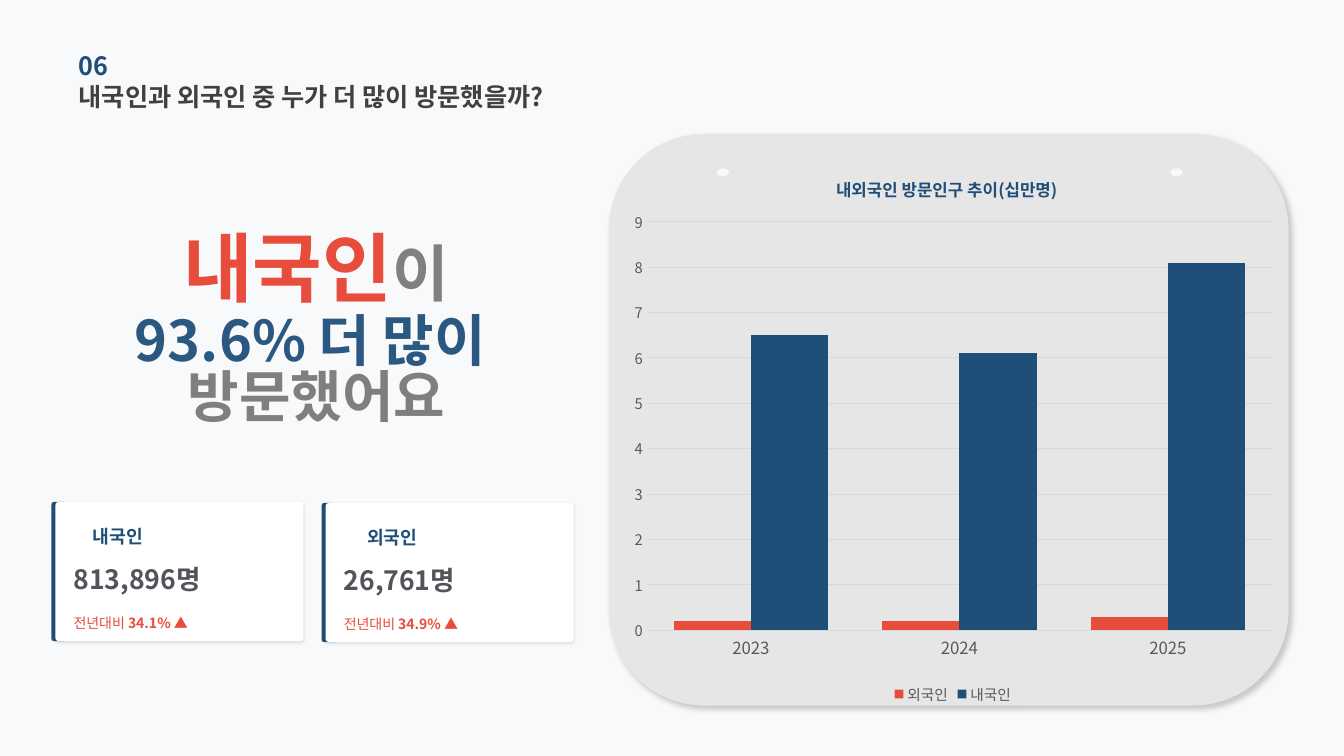
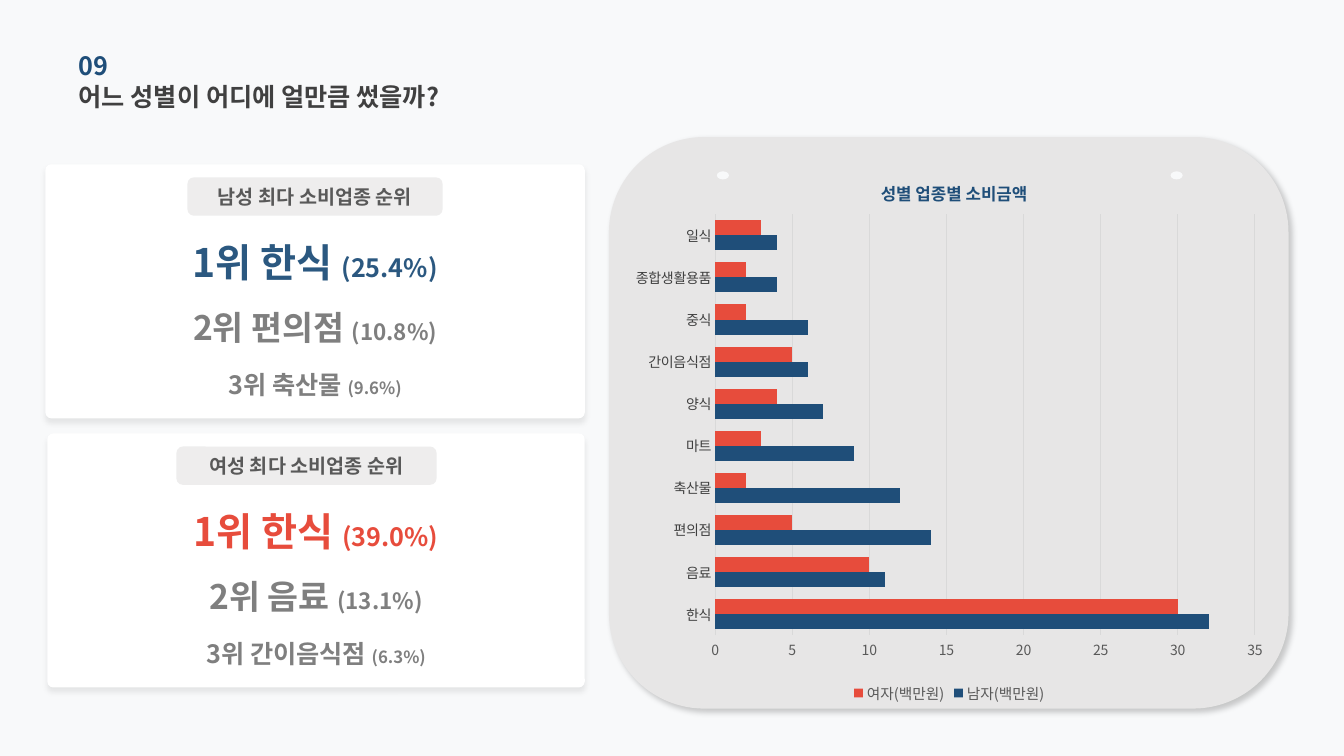
import pptx
import pptx.util
import pptx.oxml
import pptx.oxml.ns
import pptx.chart.data
import pptx.dml.color
import pptx.enum.chart
import pptx.enum.shapes
import pptx.enum.text
from lxml import etree

Inches = pptx.util.Inches
Pt = pptx.util.Pt
qn = pptx.oxml.ns.qn
CHART = pptx.enum.chart.XL_CHART_TYPE
SHAPE = pptx.enum.shapes.MSO_SHAPE
ALIGN = pptx.enum.text.PP_ALIGN

FONT = "Noto Sans CJK KR"
COLORS = {
    "background": "F8F9FA", "navy": "1F4E79", "blue": "2B5880",
    "red": "E74C3C", "title": "404040", "axis": "595959",
    "gray": "7F7F7F", "particle": "808080", "value": "51545A",
    "panel": "E7E6E6", "card": "FFFFFF", "badge": "D0CECE",
    "grid": "D9D9D9", "shadow": "000000",
}
PANEL_SHADOW = (20, 4, 3, 45)
STAT_SHADOW = (10, 2, 1, 90)
RANKING_SHADOW = (8, 4, 3, 90)
CARD_CORNER = 0.023


def rgb(name):
    return pptx.dml.color.RGBColor.from_string(COLORS[name])


def place(parent, index, **fractions):
    for old in parent.findall(qn("c:layout")):
        parent.remove(old)
    layout = etree.Element(qn("c:layout"))
    manual = etree.SubElement(layout, qn("c:manualLayout"))
    for tag, value in fractions.items():
        etree.SubElement(manual, qn("c:" + tag)).set("val", str(value))
    parent.insert(index, layout)


def add_east_asian_font(root):
    for latin in list(root.iter(qn("a:latin"))):
        east_asian = etree.Element(qn("a:ea"))
        east_asian.set("typeface", FONT)
        latin.addnext(east_asian)


class Report:
    def __init__(self):
        self.deck = pptx.Presentation()
        self.deck.slide_width = Inches(13.33)
        self.deck.slide_height = Inches(7.5)
        fill = self.deck.slide_master.background.fill
        fill.solid()
        fill.fore_color.rgb = rgb("background")
        self.page = None
        self.shapes = None

    def start_page(self, number, title):
        self.page = self.deck.slides.add_slide(self.deck.slide_layouts[5])
        self.shapes = self.page.shapes
        box = self.shapes.title
        box.left, box.top = Inches(0.78), Inches(0.75)
        box.width, box.height = Inches(5.28), Inches(0.41)
        self.fill_text(box.text_frame, [[(title, 18, "title", True)]],
                       ALIGN.LEFT)
        self.text(0.78, 0.44, 4.52, 0.41, [[(number, 18, "navy", True)]])

    def style(self, font, size, color, bold=False):
        font.name = FONT
        font.size = Pt(size)
        font.bold = bold
        font.color.rgb = rgb(color)

    def add_spans(self, para, spans):
        for words, size, color, bold in spans:
            span = para.add_run()
            span.text = words
            self.style(span.font, size, color, bold)

    def fill_text(self, frame, paragraphs, align, spacing=None):
        frame.word_wrap = True
        frame.auto_size = pptx.enum.text.MSO_AUTO_SIZE.NONE
        frame.vertical_anchor = pptx.enum.text.MSO_ANCHOR.MIDDLE
        frame.margin_left = frame.margin_right = 0
        frame.margin_top = frame.margin_bottom = 0
        for index, spans in enumerate(paragraphs):
            para = frame.add_paragraph() if index else frame.paragraphs[0]
            para.alignment = align
            if spacing:
                para.line_spacing = spacing
            self.add_spans(para, spans)

    def text(self, left, top, width, height, paragraphs,
             align=ALIGN.LEFT, spacing=None):
        box = self.shapes.add_textbox(
            Inches(left), Inches(top), Inches(width), Inches(height))
        self.fill_text(box.text_frame, paragraphs, align, spacing)

    def shape(self, left, top, width, height, color,
              kind=SHAPE.ROUNDED_RECTANGLE, corner=None, shadow=None,
              opacity=None):
        shape = self.shapes.add_shape(
            kind, Inches(left), Inches(top), Inches(width), Inches(height))
        shape.fill.solid()
        shape.fill.fore_color.rgb = rgb(color)
        shape.line.fill.background()
        shape.shadow.inherit = False
        if corner is not None:
            shape.adjustments[0] = corner
        if shadow:
            self.drop_shadow(shape, *shadow)
        if opacity:
            tint = shape.element.find(".//" + qn("a:srgbClr"))
            etree.SubElement(tint, qn("a:alpha")).set(
                "val", str(opacity * 1000))
        return shape

    def drop_shadow(self, shape, opacity, blur, distance, angle):
        effects = shape.element.find(".//" + qn("a:effectLst"))
        outer = etree.SubElement(effects, qn("a:outerShdw"))
        outer.set("blurRad", str(Pt(blur)))
        outer.set("dist", str(Pt(distance)))
        outer.set("dir", str(angle * 60000))
        outer.set("algn", "ctr")
        outer.set("rotWithShape", "0")
        tint = etree.SubElement(outer, qn("a:srgbClr"))
        tint.set("val", COLORS["shadow"])
        etree.SubElement(tint, qn("a:alpha")).set("val", str(opacity * 1000))

    def panel(self, top):
        self.shape(6.04, top, 6.74, 5.67, "panel", shadow=PANEL_SHADOW)
        for left in (7.11, 11.61):
            self.shape(left, top + 0.34, 0.12, 0.08, "background",
                       kind=SHAPE.OVAL)

    def stat_card(self, left, top, label_left, label, value, change):
        self.shape(left - 0.04, top, 0.15, 1.38, "navy")
        self.shape(left, top, 2.46, 1.38, "card", corner=CARD_CORNER,
                   shadow=STAT_SHADOW)
        self.text(label_left, top + 0.2, 0.65, 0.28,
                  [[(label, 13, "navy", True)]])
        self.text(left + 0.18, top + 0.57, 2.4, 0.39,
                  [[(value, 19, "value", True)]])
        self.text(left + 0.18, top + 0.97, 2.4, 0.45,
                  [[("전년대비 ", 10, "red", False),
                    (change, 10, "red", True)]])

    def ranking_card(self, left, top, width, badge_left, badge_width,
                     heading, color, ranks):
        self.shapes = self.page.shapes.add_group_shape().shapes
        self.shape(left, top, width, 2.52, "card", corner=CARD_CORNER,
                   shadow=RANKING_SHADOW)
        rows = ((0.73, 0.48, 28, 18, color),
                (1.19, 0.84, 24, 16, "gray"),
                (1.76, 0.84, 18, 12, "gray"))
        for (name, share), row in zip(ranks, rows):
            offset, height, name_size, share_size, row_color = row
            self.text(left, top + offset, width, height,
                      [[(name, name_size, row_color, True),
                        (share, share_size, row_color, True)]], ALIGN.CENTER)
        badge = self.shape(badge_left, top + 0.13, badge_width, 0.38,
                           "badge", opacity=36)
        self.fill_text(badge.text_frame, [[(heading, 14, "axis", True)]],
                       ALIGN.CENTER)
        self.shapes = self.page.shapes

    def chart(self, bounds, kind, title, title_left, plot_area, categories,
              series, gap, maximum, unit, category_font, value_size):
        data = pptx.chart.data.CategoryChartData()
        data.categories = categories
        for name, values, color in series:
            data.add_series(name, values)
        chart = self.shapes.add_chart(
            kind, *[Inches(length) for length in bounds], data).chart
        self.style(chart.font, 10, "axis")

        chart.has_title = True
        heading = chart.chart_title
        self.add_spans(heading.text_frame.paragraphs[0],
                       [(title, 12, "navy", True)])
        place(heading.element, 1, xMode="edge", yMode="edge",
              x=title_left, y=0.04)
        left, top, width, height = plot_area
        place(chart.element.find(".//" + qn("c:plotArea")), 0,
              layoutTarget="inner", xMode="edge", yMode="edge",
              x=left, y=top, w=width, h=height)

        chart.has_legend = True
        chart.legend.position = pptx.enum.chart.XL_LEGEND_POSITION.BOTTOM
        chart.legend.include_in_layout = False
        self.style(chart.legend.font, 10.5, "axis")

        plot = chart.plots[0]
        plot.gap_width = gap
        plot.overlap = 0
        plot.vary_by_categories = False
        for bars, (name, values, color) in zip(plot.series, series):
            bars.format.fill.solid()
            bars.format.fill.fore_color.rgb = rgb(color)
            bars.invert_if_negative = False

        category, value = chart.category_axis, chart.value_axis
        for axis in (category, value):
            axis.major_tick_mark = pptx.enum.chart.XL_TICK_MARK.NONE
            axis.minor_tick_mark = pptx.enum.chart.XL_TICK_MARK.NONE
        self.style(category.tick_labels.font, *category_font)
        self.style(value.tick_labels.font, value_size, "axis")
        category.has_major_gridlines = False
        value.has_major_gridlines = True
        value.minimum_scale = 0
        value.maximum_scale = maximum
        value.major_unit = unit
        value.format.line.fill.background()
        for line in (category.format.line, value.major_gridlines.format.line):
            line.color.rgb = rgb("grid")
            line.width = Pt(0.75)

        area = etree.Element(qn("c:spPr"))
        etree.SubElement(area, qn("a:noFill"))
        border = etree.SubElement(area, qn("a:ln"))
        etree.SubElement(border, qn("a:noFill"))
        chart.element.find(qn("c:chart")).addnext(area)
        add_east_asian_font(chart.element)

    def finish(self):
        for page in self.deck.slides:
            add_east_asian_font(page.element)
        self.deck.save("out.pptx")


def add_visitors(report):
    report.start_page("06", "내국인과 외국인 중 누가 더 많이 방문했을까?")
    report.panel(1.33)
    report.text(0.99, 2.4, 4.29, 0.48,
                [[("내국인", 54, "red", True), ("이", 44, "particle", True)]],
                ALIGN.CENTER)
    report.text(0.38, 3.28, 5.52, 0.84,
                [[("93.6% 더 많이 ", 40, "blue", True)],
                 [("방문했어요", 40, "gray", True)]], ALIGN.CENTER, 0.83)
    report.stat_card(0.55, 4.98, 0.92, "내국인", "813,896명", "34.1% ▲")
    report.stat_card(3.23, 4.99, 3.64, "외국인", "26,761명", "34.9% ▲")
    report.chart(
        (6.15, 1.48, 6.6, 5.55), CHART.COLUMN_CLUSTERED,
        "내외국인 방문인구 추이(십만명)", 0.32, (0.04, 0.13, 0.94, 0.73),
        ["2023", "2024", "2025"],
        [("외국인", (0.2, 0.2, 0.3), "red"),
         ("내국인", (6.5, 6.1, 8.1), "navy")],
        gap=70, maximum=9, unit=1, category_font=(12, "axis"),
        value_size=10.5)


def add_spending(report):
    report.start_page("09", "어느 성별이 어디에 얼만큼 썼을까?")
    report.panel(1.36)
    report.ranking_card(
        0.45, 1.63, 5.35, 1.86, 2.53, "남성 최다 소비업종 순위", "blue",
        [("1위 한식 ", "(25.4%)"), ("2위 편의점 ", "(10.8%)"),
         ("3위 축산물 ", "(9.6%)")])
    report.ranking_card(
        0.47, 4.3, 5.33, 1.75, 2.58, "여성 최다 소비업종 순위", "red",
        [("1위 한식 ", "(39.0%)"), ("2위 음료 ", "(13.1%)"),
         ("3위 간이음식점 ", "(6.3%)")])
    report.chart(
        (6.19, 1.52, 6.45, 5.5), CHART.BAR_CLUSTERED,
        "성별 업종별 소비금액", 0.39, (0.14, 0.11, 0.83, 0.76),
        ["한식", "음료", "편의점", "축산물", "마트", "양식", "간이음식점",
         "중식", "종합생활용품", "일식"],
        [("남자(백만원)", (32, 11, 14, 12, 9, 7, 6, 6, 4, 4), "navy"),
         ("여자(백만원)", (30, 10, 5, 2, 3, 4, 5, 2, 2, 3), "red")],
        gap=80, maximum=35, unit=5, category_font=(10, "title"),
        value_size=10)


def main():
    report = Report()
    add_visitors(report)
    add_spending(report)
    report.finish()


if __name__ == "__main__":
    main()
